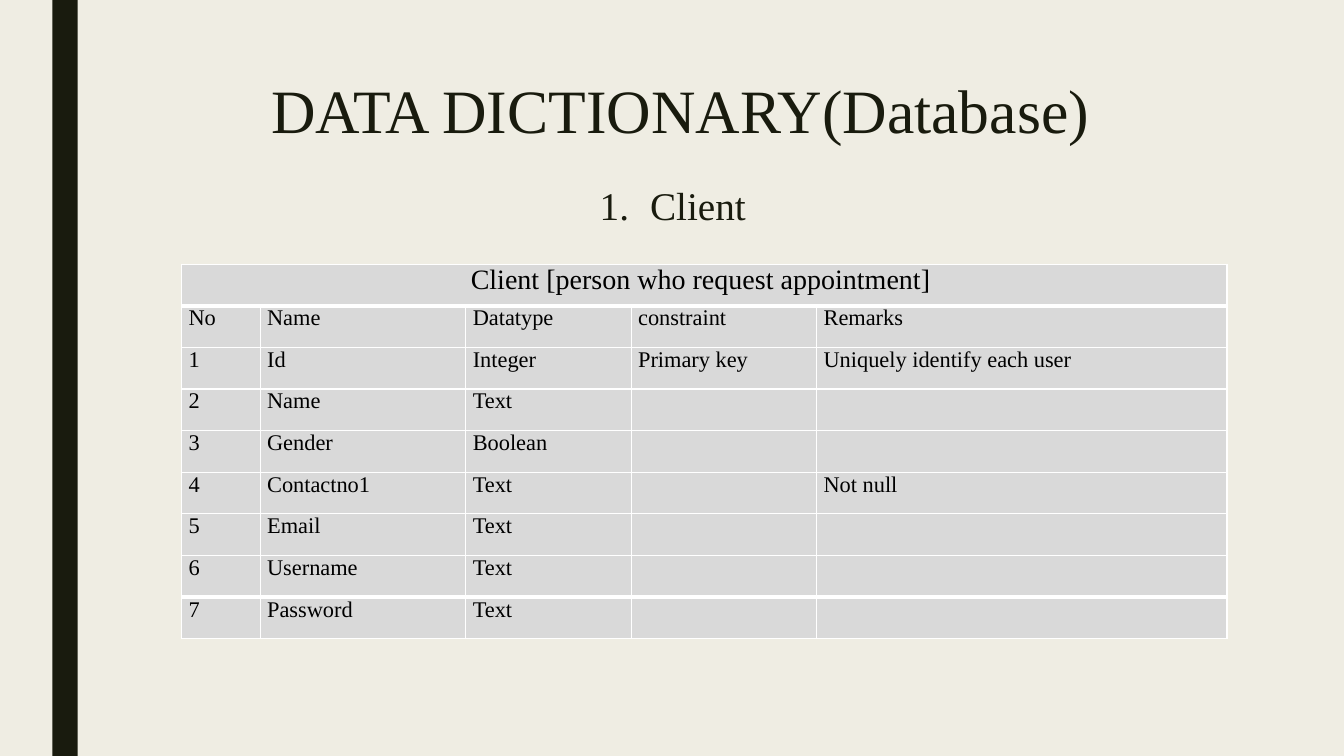
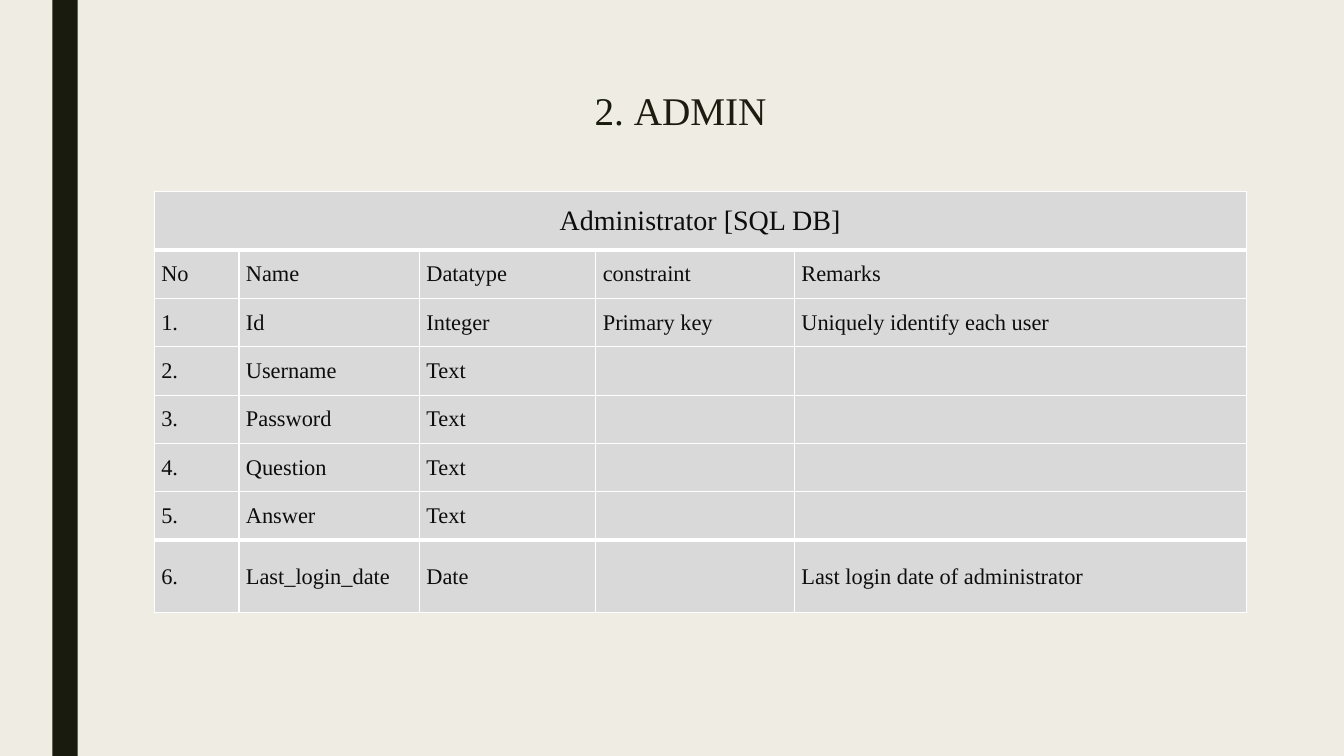
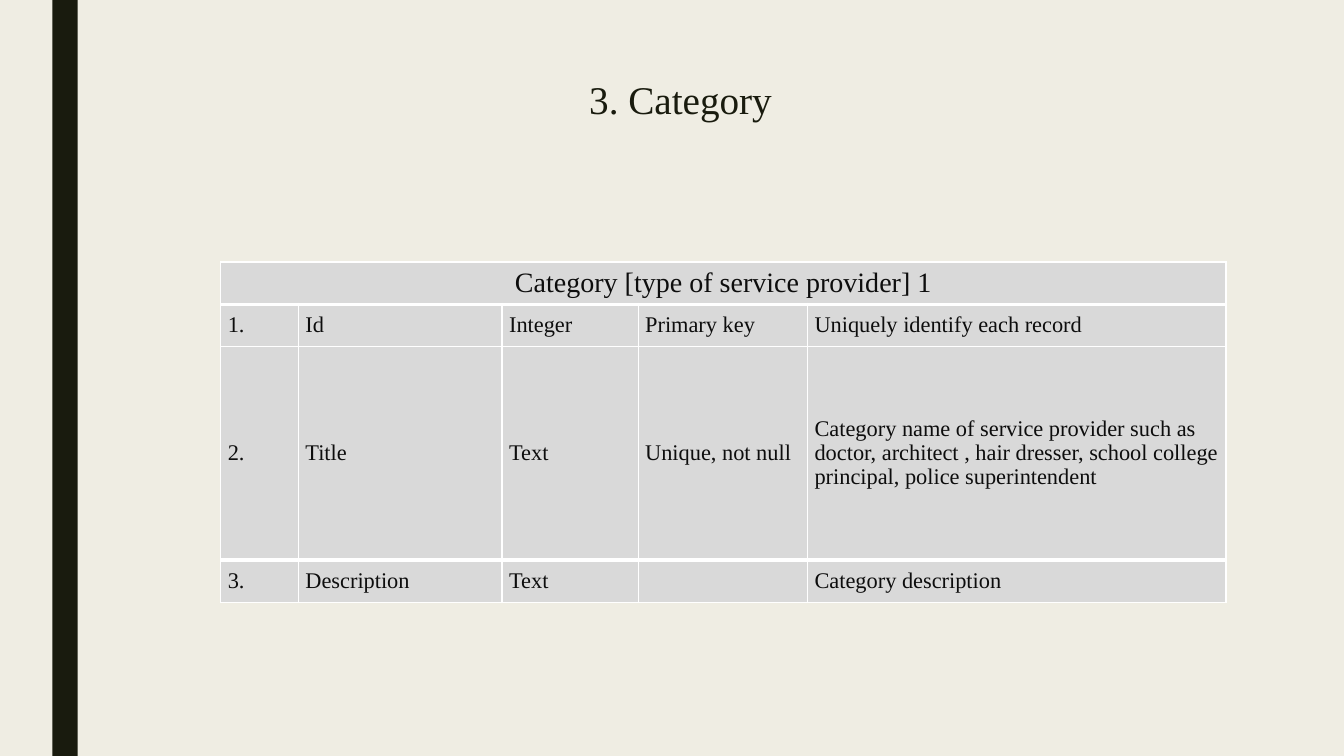
"""Build three data dictionary slides, each with a heading and a field table."""
from dataclasses import dataclass
from typing import Any

from lxml.etree import SubElement
from pptx import Presentation
from pptx.dml.color import RGBColor
from pptx.enum.shapes import MSO_SHAPE
from pptx.enum.text import MSO_ANCHOR, PP_ALIGN
from pptx.oxml.ns import qn
from pptx.util import Inches, Pt

FONT = "Times New Roman"
PAPER, INK, ADMIN_INK = "EFEDE3", "191B0E", "1E1C11"
CELL, BORDER, BLACK, SOFT_BLACK = "D9D9D9", "FFFFFF", "000000", "0D0D0D"
THIN, THICK = 1, 3
HEADINGS = ("No", "Name", "Datatype", "constraint", "Remarks")


@dataclass(frozen=True)
class Heading:
    """A text box above the table; runs are pairs of text and colour."""
    at: tuple[float, float, float, float]
    runs: tuple[tuple[str, str], ...]
    size: float = 28
    spacing: float = 0.89
    numbered: bool = False


@dataclass(frozen=True)
class FieldTable:
    """A caption row over rows of field descriptions."""
    left: float
    top: float
    cols: tuple[float, ...]
    heights: tuple[float, ...]
    caption: str
    rows: tuple[tuple[str, ...], ...]
    color: str = SOFT_BLACK
    anchor: MSO_ANCHOR = MSO_ANCHOR.MIDDLE
    spacing: float = 1.0


@dataclass(frozen=True)
class Page:
    """One slide: its headings and its table."""
    headings: tuple[Heading, ...]
    table: FieldTable


PAGES = (
    Page(
        (
            Heading((1.5, 0.75, 10.5, 0.8), (("DATA DICTIONARY(Database)", INK),), size=44),
            Heading((5.85, 1.82, 1.8, 0.53), (("Client", INK),), spacing=0.84, numbered=True),
        ),
        FieldTable(
            1.8, 2.62, (0.78, 2.04, 1.64, 1.84, 4.07), (3.72 / 9,) * 9,
            "Client [person who request appointment] ",
            (
                HEADINGS,
                ("1", "Id", "Integer", "Primary key", "Uniquely identify each user"),
                ("2", "Name", "Text", "", ""),
                ("3", "Gender", "Boolean", "", ""),
                ("4", "Contactno1", "Text", "", "Not null"),
                ("5", "Email", "Text", "", ""),
                ("6", "Username", "Text", "", ""),
                ("7", "Password", "Text", "", ""),
            ),
            color=BLACK, anchor=MSO_ANCHOR.TOP,
        ),
    ),
    Page(
        (Heading((5.6, 0.86, 2.3, 0.6), (("2. ", INK), ("ADMIN", ADMIN_INK))),),
        FieldTable(
            1.53, 1.9, (0.84, 1.79, 1.75, 1.97, 4.48), (0.58, *(0.48,) * 6, 0.72),
            "Administrator [SQL DB]",
            (
                HEADINGS,
                ("1.", "Id", "Integer", "Primary key", "Uniquely identify each user"),
                ("2.", "Username", "Text", "", ""),
                ("3.", "Password", "Text", "", ""),
                ("4.", "Question", "Text", "", ""),
                ("5.", "Answer", "Text", "", ""),
                ("6.", "Last_login_date", "Date", "", "Last login date of administrator"),
            ),
        ),
    ),
    Page(
        (Heading((1.5, 0.75, 10.5, 1.21), (("3. Category", INK),)),),
        FieldTable(
            2.19, 2.6, (0.77, 2.02, 1.35, 1.68, 4.15), (0.42, 0.42, 2.12, 0.42),
            "Category [type of service provider] 1",
            (
                ("1.", "Id", "Integer", "Primary key", "Uniquely identify each record"),
                ("2.", "Title", "Text", "Unique, not null",
                 "Category name of service provider such as doctor, architect , "
                 "hair dresser, school college principal, police superintendent"),
                ("3.", "Description", "Text", "", "Category description"),
            ),
            spacing=0.95,
        ),
    ),
)


def rgb(color: str) -> RGBColor:
    """Turn a hex string into a colour."""
    return RGBColor.from_string(color)


def apply(target: Any, values: dict[str, Any]) -> None:
    """Set each attribute of target from a dict of format values."""
    for name, value in values.items():
        setattr(target, name, value)


def paint(target: Any, color: str) -> None:
    """Give a shape, cell or background a solid fill."""
    target.fill.solid()
    target.fill.fore_color.rgb = rgb(color)


def add_run(p: Any, text: str, size: float, color: str) -> None:
    """Append a run in the deck font."""
    r = p.add_run()
    r.text = text
    apply(r.font, {"name": FONT, "size": Pt(size)})
    r.font.color.rgb = rgb(color)


def number_paragraph(p: Any, size: float, color: str) -> None:
    """Make a paragraph an item of a numbered list with a hanging indent."""
    apply(p, {"space_before": Pt(10), "space_after": Pt(2), "alignment": PP_ALIGN.LEFT})
    pPr = p._p.get_or_add_pPr()
    pPr.set("marL", str(Inches(0.5)))
    pPr.set("indent", str(-Inches(0.5)))
    SubElement(pPr, qn("a:buFont"), typeface=FONT)
    SubElement(pPr, qn("a:buAutoNum"), type="arabicPeriod")


def add_band(slide: Any, height: int) -> None:
    """Draw the dark vertical band at the left."""
    sp = slide.shapes.add_shape(MSO_SHAPE.RECTANGLE, Inches(0.52), 0, Inches(0.25), height)
    sp.shadow.inherit = False
    paint(sp, INK)
    sp.line.fill.background()


def add_heading(slide: Any, heading: Heading) -> None:
    """Draw a heading text box."""
    tf = slide.shapes.add_textbox(*map(Inches, heading.at)).text_frame
    apply(tf, {"word_wrap": True, "vertical_anchor": MSO_ANCHOR.TOP})
    p = tf.paragraphs[0]
    apply(p, {"alignment": PP_ALIGN.CENTER, "line_spacing": heading.spacing})
    if heading.numbered:
        number_paragraph(p, heading.size, heading.runs[0][1])
    for text, color in heading.runs:
        add_run(p, text, heading.size, color)


def set_borders(cell: Any, top: float, bottom: float) -> None:
    """Draw the four white borders of a cell."""
    tcPr = cell._tc.get_or_add_tcPr()
    for side, width in {"L": THIN, "R": THIN, "T": top, "B": bottom}.items():
        ln = SubElement(tcPr, qn(f"a:ln{side}"), w=str(Pt(width)))
        SubElement(SubElement(ln, qn("a:solidFill")), qn("a:srgbClr"), val=BORDER)


def add_field_table(slide: Any, spec: FieldTable) -> None:
    """Draw a caption row and the field rows below it."""
    rows = ((spec.caption, "", "", "", ""), *spec.rows)
    box = (spec.left, spec.top, sum(spec.cols), sum(spec.heights))
    table = slide.shapes.add_table(len(rows), len(spec.cols), *map(Inches, box)).table
    apply(table, {"first_row": False, "horz_banding": False})
    for column, width in zip(table.columns, spec.cols):
        column.width = Inches(width)
    for row, height in zip(table.rows, spec.heights):
        row.height = Inches(height)
    table.cell(0, 0).merge(table.cell(0, len(spec.cols) - 1))
    margins = {"margin_left": Inches(0.07), "margin_right": Inches(0.07),
               "margin_top": 0, "margin_bottom": 0}
    thick_edges = {1, len(rows) - 1}
    for i, texts in enumerate(rows):
        for j, text in enumerate(texts):
            cell = table.cell(i, j)
            apply(cell, {**margins, "vertical_anchor": spec.anchor})
            set_borders(cell, THICK if i in thick_edges else THIN,
                        THICK if i + 1 in thick_edges else THIN)
            paint(cell, CELL)
            if text:
                p = cell.text_frame.paragraphs[0]
                apply(p, {"alignment": PP_ALIGN.LEFT if i else PP_ALIGN.CENTER,
                          "line_spacing": spec.spacing})
                add_run(p, text, 16 if i else 20, spec.color)


def main() -> None:
    """Build and save the deck."""
    prs = Presentation()
    apply(prs, {"slide_width": Inches(13.33), "slide_height": Inches(7.5)})
    paint(prs.slide_master.background, PAPER)
    for page in PAGES:
        slide = prs.slides.add_slide(prs.slide_layouts[6])
        add_band(slide, prs.slide_height)
        for heading in page.headings:
            add_heading(slide, heading)
        add_field_table(slide, page.table)
    prs.save("out.pptx")


if __name__ == "__main__":
    main()
